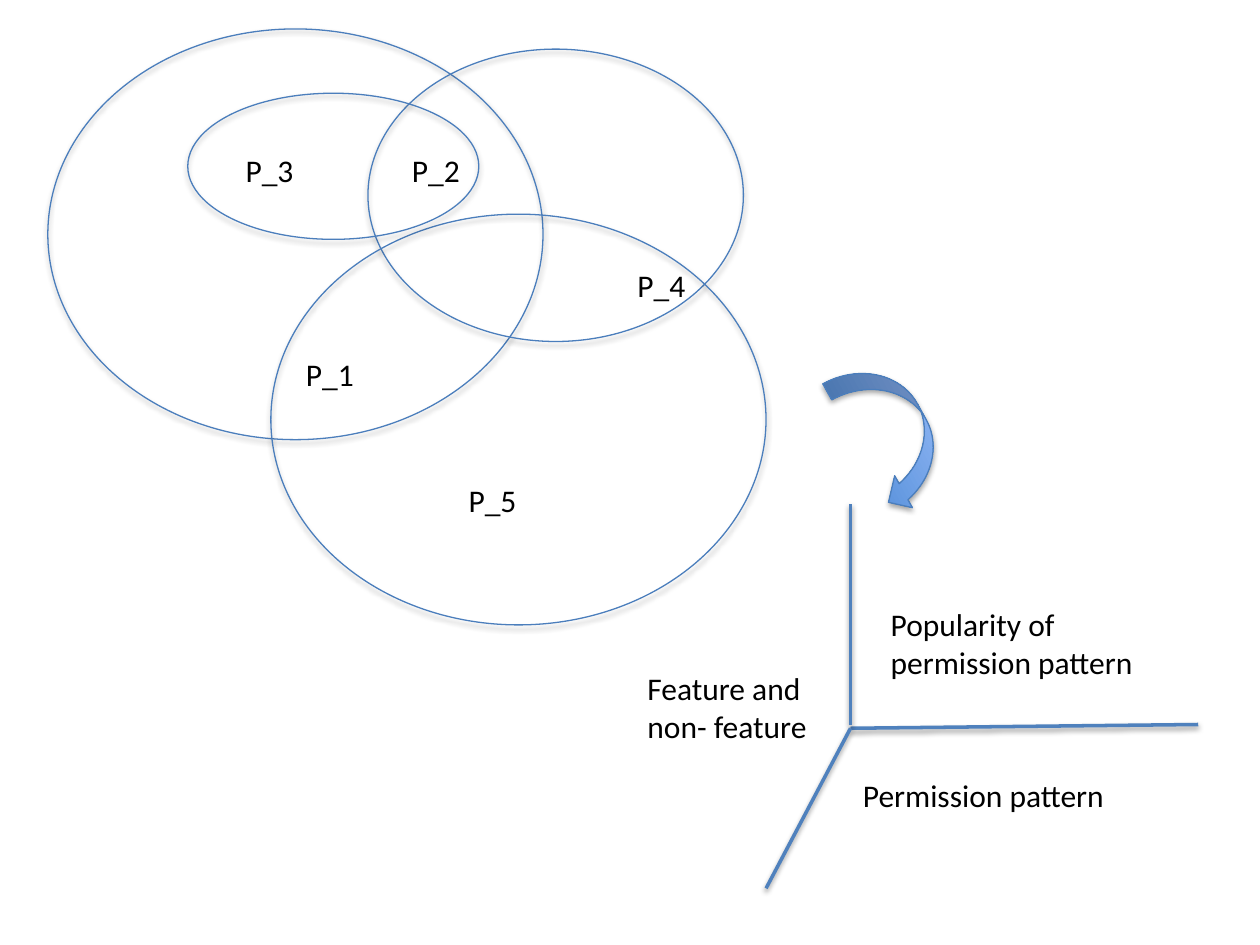
from typing import NamedTuple

import pptx
import pptx.dml.color
import pptx.enum.shapes
import pptx.enum.text
import pptx.oxml
import pptx.oxml.ns
import pptx.util

RGBColor = pptx.dml.color.RGBColor
SHAPE = pptx.enum.shapes.MSO_SHAPE

OUTLINE = RGBColor(0x4B, 0x7E, 0xBC)
AXIS = RGBColor(0x4F, 0x81, 0xBD)
ARROW_DARK = RGBColor(0x3F, 0x80, 0xCE)
ARROW_LIGHT = RGBColor(0xA4, 0xC4, 0xFF)
BLACK = RGBColor(0, 0, 0)

CELL = pptx.util.Inches(0.1)
COLS, ROWS = 100, 75


class Box(NamedTuple):
    col: float
    row: float
    cols: float
    rows: float


class Label(NamedTuple):
    text: str
    box: Box


class Axis(NamedTuple):
    start: tuple[float, float]
    end: tuple[float, float]


PATTERN_LABELS = [
    Label(text, Box(col, row, 5.9, 4))
    for text, col, row in [
        ("P_1", 23.3, 27.7),
        ("P_2", 31.7, 11.5),
        ("P_3", 18.5, 11.5),
        ("P_4", 49.6, 20.6),
        ("P_5", 36.2, 37.7),
    ]
]
SETS = [
    Box(3.8, 2.3, 39.3, 32.6),
    Box(29.2, 3.9, 29.8, 23.2),
    Box(21.5, 17, 39.3, 32.6),
    Box(14.9, 7.4, 23.1, 11.6),
]
TURN_ARROW = Box(64.7, 31.5, 12.2, 5.8)
ORIGIN = (67.5, 57.8)
AXES = [
    Axis(ORIGIN, (95.1, 57.5)),
    Axis((67.5, 40), (67.5, 57.5)),
    Axis(ORIGIN, (60.8, 70.5)),
]
AXIS_LABELS = [
    Label("Permission pattern", Box(67.5, 61.1, 21.5, 4)),
    Label("Popularity of\npermission pattern", Box(69.7, 47.5, 21.5, 7.1)),
    Label("Feature and\nnon- feature", Box(50.4, 52.6, 14.9, 7.1)),
]


def grid(*cells: float) -> list[int]:
    return [round(n * CELL) for n in cells]


def add_shadow(sp, distance: float, opacity: int) -> None:
    blur, dist = pptx.util.Pt(3.1), pptx.util.Pt(distance)
    sp._element.spPr.append(pptx.oxml.parse_xml(
        f'<a:effectLst {pptx.oxml.ns.nsdecls("a")}>'
        f'<a:outerShdw blurRad="{blur}" dist="{dist}" dir="5400000" rotWithShape="0">'
        f'<a:srgbClr val="000000"><a:alpha val="{opacity * 1000}"/></a:srgbClr>'
        '</a:outerShdw></a:effectLst>'
    ))


def add_label(s, label: Label) -> None:
    tf = s.shapes.add_textbox(*grid(*label.box)).text_frame
    tf.word_wrap = False
    tf.auto_size = pptx.enum.text.MSO_AUTO_SIZE.SHAPE_TO_FIT_TEXT
    tf.text = label.text
    for p in tf.paragraphs:
        p.font.name = "Calibri"
        p.font.size = pptx.util.Pt(18)
        p.font.color.rgb = BLACK


def add_outlined(s, kind, box: Box):
    sp = s.shapes.add_shape(kind, *grid(*box))
    sp.fill.background()
    sp.line.color.rgb = OUTLINE
    sp.line.width = pptx.util.Pt(0.75)
    add_shadow(sp, 1.8, 35)
    return sp


def add_turn_arrow(s, box: Box) -> None:
    sp = add_outlined(s, SHAPE.CURVED_DOWN_ARROW, box)
    sp.rotation = 61
    sp.fill.gradient()
    sp.fill.gradient_angle = 90
    for stop, color in zip(sp.fill.gradient_stops, (ARROW_DARK, ARROW_LIGHT)):
        stop.color.rgb = color


def add_axis(s, axis: Axis) -> None:
    line = s.shapes.add_connector(
        pptx.enum.shapes.MSO_CONNECTOR.STRAIGHT, *grid(*axis.start, *axis.end)
    )
    line.line.color.rgb = AXIS
    line.line.width = pptx.util.Pt(2)
    add_shadow(line, 1.6, 38)


def main() -> None:
    prs = pptx.Presentation()
    prs.slide_width, prs.slide_height = grid(COLS, ROWS)
    s = prs.slides.add_slide(prs.slide_layouts[6])
    for label in PATTERN_LABELS:
        add_label(s, label)
    for box in SETS:
        add_outlined(s, SHAPE.OVAL, box)
    add_turn_arrow(s, TURN_ARROW)
    for axis in AXES:
        add_axis(s, axis)
    for label in AXIS_LABELS:
        add_label(s, label)
    prs.save("out.pptx")


if __name__ == "__main__":
    main()
